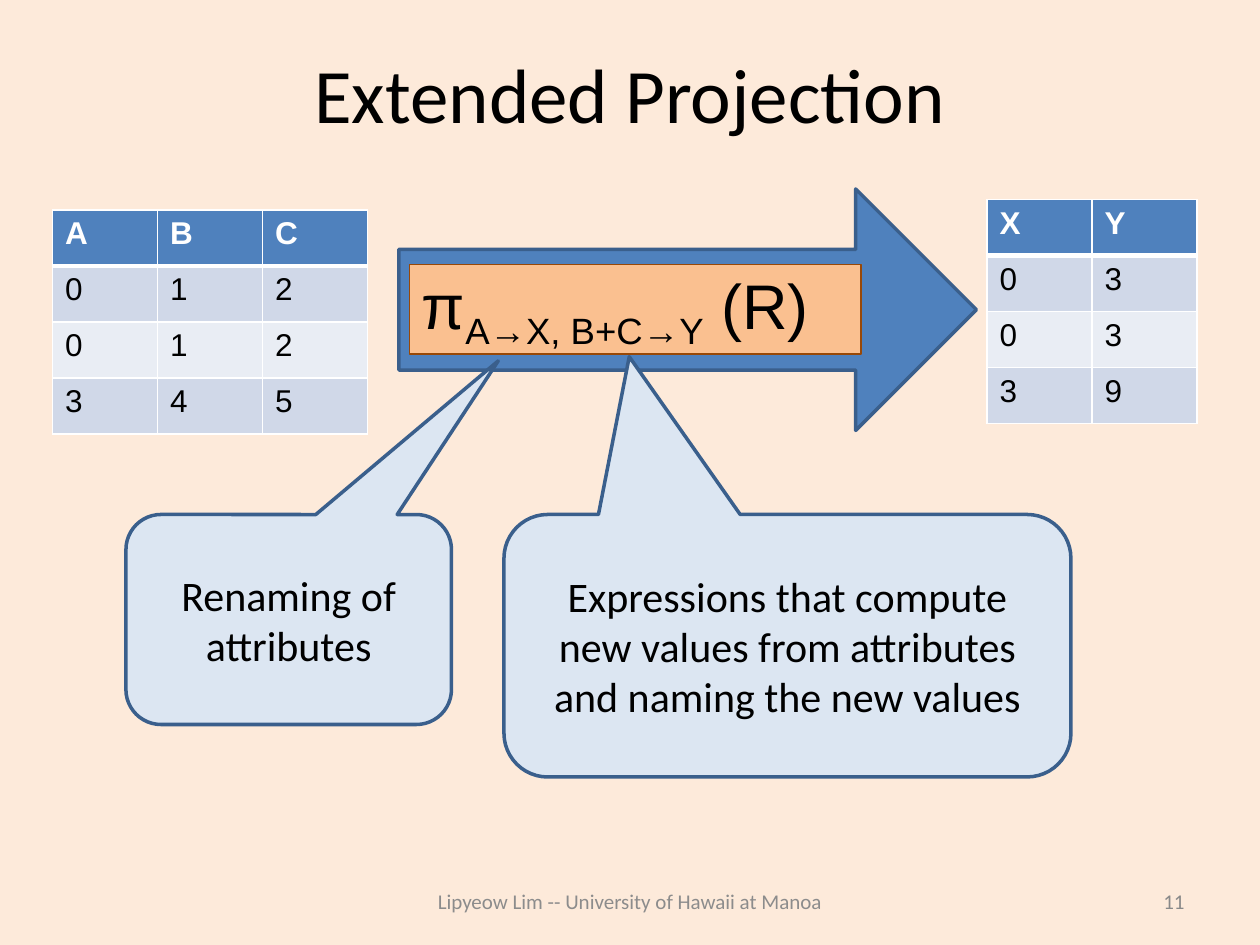
from dataclasses import dataclass

from lxml.etree import SubElement
from pptx import Presentation
from pptx.dml.color import RGBColor
from pptx.enum.shapes import MSO_SHAPE as SHAPE
from pptx.enum.text import MSO_ANCHOR as ANCHOR, PP_ALIGN as ALIGN
from pptx.oxml.ns import qn
from pptx.util import Pt

BLACK = RGBColor(0x00, 0x00, 0x00)
WHITE = RGBColor(0xFF, 0xFF, 0xFF)
CREAM = RGBColor(0xFD, 0xEA, 0xDA)
BLUE = RGBColor(0x4F, 0x81, 0xBD)
DARK_BLUE = RGBColor(0x3A, 0x5F, 0x8C)
PALE_BLUE = RGBColor(0xDC, 0xE6, 0xF2)
ORANGE = RGBColor(0xFA, 0xC0, 0x90)
BROWN = RGBColor(0x98, 0x48, 0x07)
BAND_DARK = RGBColor(0xD0, 0xD8, 0xE8)
BAND_LIGHT = RGBColor(0xE9, 0xED, 0xF4)
FOOTER_GRAY = RGBColor(0x8C, 0x8C, 0x8C)
NUMBER_GRAY = RGBColor(0x89, 0x89, 0x89)

COL_WIDTH, ROW_HEIGHT = 60, 32


@dataclass
class Box:
    left: float
    top: float
    width: float
    height: float

    def emu(self) -> tuple:
        return Pt(self.left), Pt(self.top), Pt(self.width), Pt(self.height)


@dataclass
class Relation:
    left: float
    top: float
    rows: list[str]


@dataclass
class Callout:
    box: Box
    tip: tuple[float, float]
    text: str


@dataclass
class Footer:
    box: Box
    text: str
    align: ALIGN
    color: RGBColor


RELATIONS = [
    Relation(30, 120, ["ABC", "012", "012", "345"]),
    Relation(564, 114, ["XY", "03", "03", "39"]),
]
CALLOUTS = [
    Callout(Box(72, 294, 186, 120), (0.644, -1.232), "Renaming of attributes"),
    Callout(Box(288, 294, 324, 150), (-0.279, -1.101),
            "Expressions that compute new values from attributes "
            "and naming the new values"),
]
FOOTERS = [
    Footer(Box(216, 500.5, 288, 28.75), "Lipyeow Lim -- University of Hawaii at Manoa",
           ALIGN.CENTER, FOOTER_GRAY),
    Footer(Box(516, 500.5, 168, 28.75), "11", ALIGN.RIGHT, NUMBER_GRAY),
]


def write(tf, *parts: str, size: float, font: str = "Calibri", color: RGBColor = BLACK,
          bold: bool = False, align: ALIGN = ALIGN.LEFT, anchor: ANCHOR = ANCHOR.MIDDLE):
    """Write the parts as runs of one paragraph and return the runs."""
    tf.word_wrap = True
    tf.vertical_anchor = anchor
    p = tf.paragraphs[0]
    p.alignment = align
    runs = []
    for part in parts:
        r = p.add_run()
        r.text = part
        r.font.size, r.font.name, r.font.bold = Pt(size), font, bold
        r.font.color.rgb = color
        runs.append(r)
    return runs


def add_shape(slide, kind: SHAPE, box: Box, fill: RGBColor, line: RGBColor, width: float):
    sp = slide.shapes.add_shape(kind, *box.emu())
    sp.shadow.inherit = False
    sp.fill.solid()
    sp.fill.fore_color.rgb = fill
    sp.line.color.rgb = line
    sp.line.width = Pt(width)
    return sp


def set_border(cell, side: str, width: float) -> None:
    ln = SubElement(cell._tc.get_or_add_tcPr(), qn(f"a:ln{side}"), w=str(Pt(width)))
    fill = SubElement(ln, qn("a:solidFill"))
    SubElement(fill, qn("a:srgbClr"), val=str(WHITE))


def add_relation(slide, relation: Relation) -> None:
    n_rows, n_cols = len(relation.rows), len(relation.rows[0])
    box = Box(relation.left, relation.top, n_cols * COL_WIDTH, n_rows * ROW_HEIGHT)
    table = slide.shapes.add_table(n_rows, n_cols, *box.emu()).table
    for i, values in enumerate(relation.rows):
        header = i == 0
        fill = BLUE if header else (BAND_DARK if i % 2 else BAND_LIGHT)
        for j, value in enumerate(values):
            cell = table.cell(i, j)
            write(cell.text_frame, value, size=18, font="Arial", bold=header,
                  color=WHITE if header else BLACK, anchor=ANCHOR.TOP)
            for side in "LRTB":
                thick = (i, side) in ((0, "B"), (1, "T"))
                set_border(cell, side, 3 if thick else 1)
            cell.fill.solid()
            cell.fill.fore_color.rgb = fill


def add_callout(slide, callout: Callout) -> None:
    sp = add_shape(slide, SHAPE.ROUNDED_RECTANGULAR_CALLOUT, callout.box,
                   PALE_BLUE, DARK_BLUE, 2)
    sp.adjustments[0], sp.adjustments[1] = callout.tip
    write(sp.text_frame, callout.text, size=24, align=ALIGN.CENTER)


def add_formula(slide) -> None:
    sp = add_shape(slide, SHAPE.RECTANGLE, Box(234, 151.2, 258, 51), ORANGE, BROWN, 1)
    runs = write(sp.text_frame, "π", "A→X, B+C→Y", " (R)", size=36, font="Arial")
    runs[1].font._element.set("baseline", "-25000")


def main() -> None:
    prs = Presentation()
    prs.slide_width, prs.slide_height = Pt(720), Pt(540)
    slide = prs.slides.add_slide(prs.slide_layouts[5])
    slide.background.fill.solid()
    slide.background.fill.fore_color.rgb = CREAM

    title = slide.shapes.title
    title.left, title.top, title.width, title.height = Box(36, 21.6, 648, 62.6).emu()
    write(title.text_frame, "Extended Projection", size=44, align=ALIGN.CENTER)

    add_shape(slide, SHAPE.RIGHT_ARROW, Box(228, 108, 330, 138), BLUE, DARK_BLUE, 2)
    add_formula(slide)
    for relation in RELATIONS:
        add_relation(slide, relation)
    for callout in CALLOUTS:
        add_callout(slide, callout)
    for footer in FOOTERS:
        tb = slide.shapes.add_textbox(*footer.box.emu())
        write(tb.text_frame, footer.text, size=12, color=footer.color, align=footer.align)

    prs.save("out.pptx")


if __name__ == "__main__":
    main()
